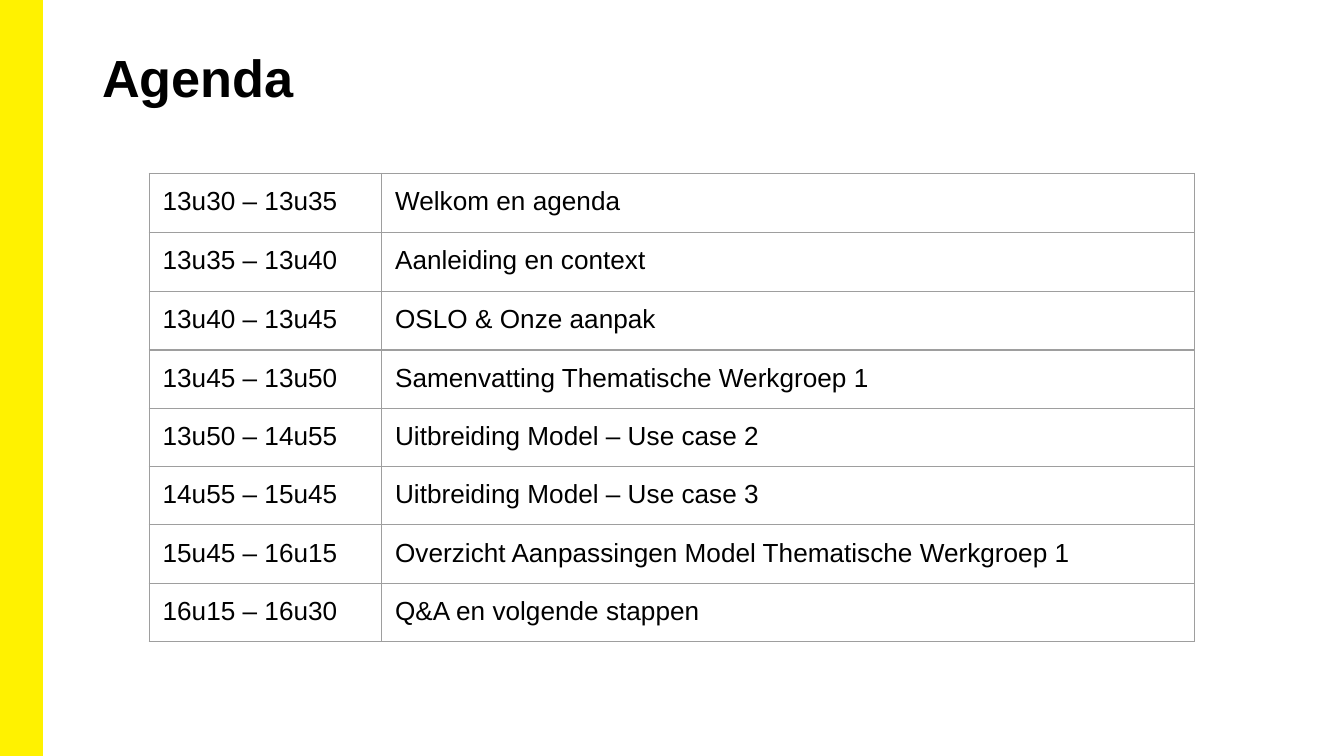
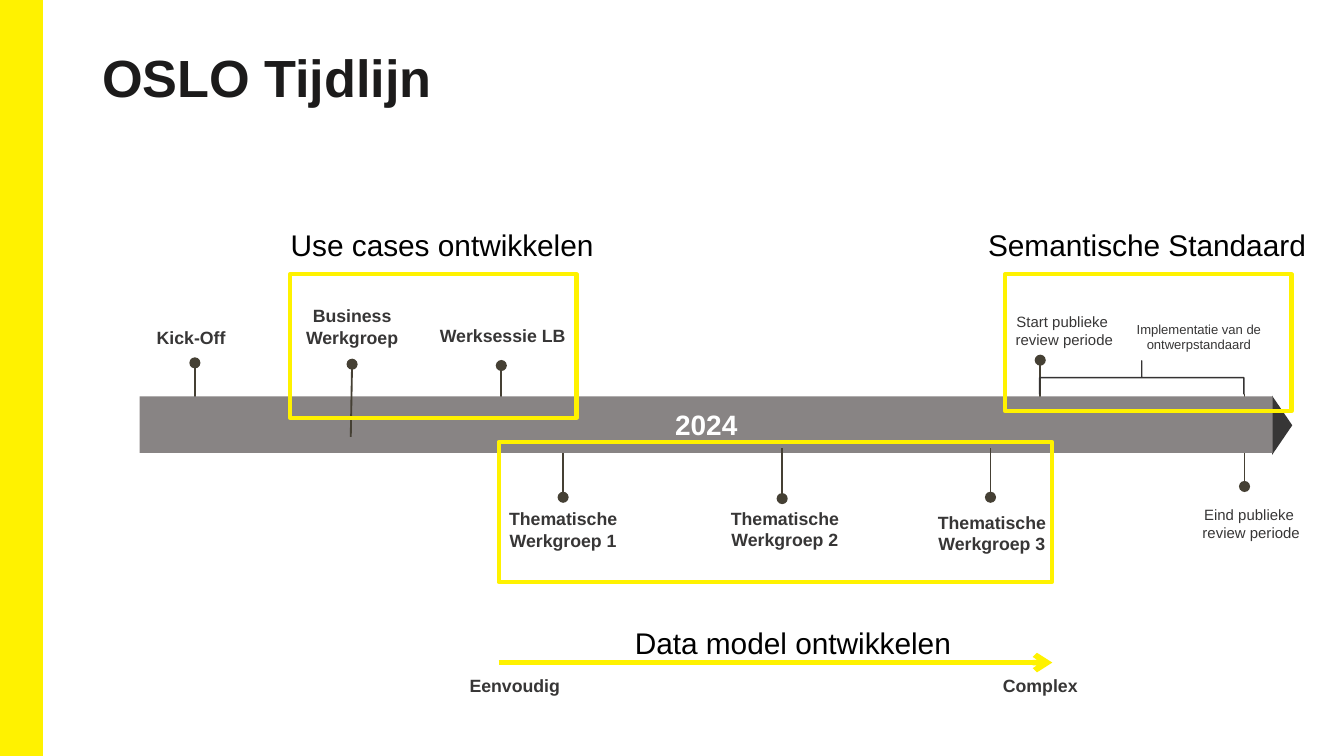
from lxml import etree
from pptx import Presentation
from pptx.dml.color import RGBColor
from pptx.enum.shapes import MSO_CONNECTOR, MSO_SHAPE
from pptx.enum.text import MSO_ANCHOR, MSO_AUTO_SIZE, PP_ALIGN
from pptx.oxml import parse_xml
from pptx.oxml.ns import nsdecls, qn
from pptx.util import Inches, Pt

FONT = "Arial"
SLIDE_WIDTH = 10
SLIDE_HEIGHT = SLIDE_WIDTH * 9 / 16
YELLOW = RGBColor(0xFF, 0xF2, 0x00)
BLACK = RGBColor(0x00, 0x00, 0x00)
WHITE = RGBColor(0xFF, 0xFF, 0xFF)
TITLE_DARK = RGBColor(0x1C, 0x1B, 0x1B)
LABEL_DARK = RGBColor(0x37, 0x36, 0x36)
BRACE_DARK = RGBColor(0x35, 0x33, 0x33)
PIN_BROWN = RGBColor(0x45, 0x40, 0x34)
BAR_GREY = RGBColor(0x88, 0x84, 0x84)
BORDER_GREY = RGBColor(0x9E, 0x9E, 0x9E)

AGENDA = [
    ("13u30 – 13u35", "Welkom en agenda"),
    ("13u35 – 13u40", "Aanleiding en context"),
    ("13u40 – 13u45", "OSLO & Onze aanpak"),
    ("13u45 – 13u50", "Samenvatting Thematische Werkgroep 1"),
    ("13u50 – 14u55", "Uitbreiding Model – Use case 2"),
    ("14u55 – 15u45", "Uitbreiding Model – Use case 3"),
    ("15u45 – 16u15", "Overzicht Aanpassingen Model Thematische Werkgroep 1"),
    ("16u15 – 16u30", "Q&A en volgende stappen"),
]
AGENDA_COLUMNS = [1.73, 6.05]
AGENDA_ROWS = [0.44, 0.44, 0.41, 0.25] + [0.39] * 4

# Pins: dot x, dot y, bar x, bar y, line width
PINS_BEHIND_BAR = [
    (7.74, 2.68, 7.74, 3.21, 1),
    (9.26, 3.62, 9.26, 2.93, 0.25),
    (3.73, 2.72, 3.73, 3.26, 1),
    (4.19, 3.7, 4.19, 3.29, 1),
    (1.45, 2.7, 1.45, 3.1, 1),
]
PINS_OVER_BAR = [
    (7.37, 3.7, 7.37, 3.33, 1),
    (2.62, 2.71, 2.61, 3.25, 1),
    (5.82, 3.71, 5.82, 3.33, 1),
]

# Labels: text, left, top, width, height
MILESTONES = [
    ("Kick-Off ", 0.9, 2.43, 1.08, 0.37),
    ("Business Werkgroep", 2.03, 2.27, 1.18, 0.6),
    ("Werksessie LB", 3.15, 2.42, 1.18, 0.6),
    ("Thematische Werkgroep 1", 3.65, 3.78, 1.08, 0.61),
    ("Thematische Werkgroep 2", 5.3, 3.78, 1.08, 0.34),
    ("Thematische Werkgroep 3", 6.84, 3.81, 1.08, 0.34),
    ("Eenvoudig", 3.29, 5.02, 1.08, 0.19),
    ("Complex", 7.2, 5.02, 1.08, 0.19),
]
REVIEW_LABELS = [
    ("Start publieke \vreview periode", 7.38, 2.33, 1.08, 0.34, 8),
    ("Eind publieke \vreview periode", 8.77, 3.76, 1.08, 0.37, 8),
    ("Implementatie van de ontwerpstandaard", 8.2, 2.39, 1.44, 0.37, 7),
]
PHASE_NAMES = [
    ("Use cases ontwikkelen", 1.68, 1.59, 3.22, 0.47),
    ("Semantische Standaard", 6.52, 1.59, 4.03, 0.47),
    ("Data model ontwikkelen", 4.29, 4.55, 3.22, 0.47),
]
PHASE_FRAMES = [
    (2.16, 2.04, 2.13, 1.07),
    (3.71, 3.29, 4.12, 1.04),
    (7.48, 2.04, 2.13, 1.02),
]


def write_text(frame, text, size=14, color=BLACK, bold=False,
               align=PP_ALIGN.LEFT, anchor=MSO_ANCHOR.TOP, insets=(0, 0)):
    """Fill a text frame; insets are (horizontal, vertical) in inches."""
    frame.word_wrap = True
    frame.vertical_anchor = anchor
    frame.margin_left = frame.margin_right = Inches(insets[0])
    frame.margin_top = frame.margin_bottom = Inches(insets[1])
    paragraph = frame.paragraphs[0]
    paragraph.text = text
    paragraph.alignment = align
    for run in paragraph.runs:
        run.font.name = FONT
        run.font.size = Pt(size)
        run.font.bold = bold
        run.font.color.rgb = color


def add_cell_borders(cell, color, width):
    properties = cell._tc.get_or_add_tcPr()
    for side in ("lnL", "lnR", "lnT", "lnB"):
        properties.append(parse_xml(
            f'<a:{side} {nsdecls("a")} w="{Pt(width)}"><a:solidFill>'
            f'<a:srgbClr val="{color}"/></a:solidFill></a:{side}>'))


class Deck:
    """Holds the presentation, its shared style and the current slide."""

    def __init__(self):
        self.presentation = Presentation()
        self.presentation.slide_width = Inches(SLIDE_WIDTH)
        self.presentation.slide_height = Inches(SLIDE_HEIGHT)
        self.slide = None

    def new_slide(self, title, width, color):
        blank = self.presentation.slide_layouts[6]
        self.slide = self.presentation.slides.add_slide(blank)
        self.shape(MSO_SHAPE.RECTANGLE, 0, 0, 0.31, SLIDE_HEIGHT,
                   fill=YELLOW, line=YELLOW)
        self.text(title, 0.69, 0.3, width, 0.81, size=28, color=color,
                  bold=True, insets=(0.07, 0.04))

    def shape(self, kind, left, top, width, height, fill=None, line=None,
              line_width=1, rotation=0):
        shape = self.slide.shapes.add_shape(
            kind, Inches(left), Inches(top), Inches(width), Inches(height))
        shape.shadow.inherit = False
        shape.rotation = rotation
        if fill is None:
            shape.fill.background()
        else:
            shape.fill.solid()
            shape.fill.fore_color.rgb = fill
        if line is None:
            shape.line.fill.background()
        else:
            shape.line.color.rgb = line
            shape.line.width = Pt(line_width)
        return shape

    def text(self, text, left, top, width, height, grow=False, **style):
        box = self.slide.shapes.add_textbox(
            Inches(left), Inches(top), Inches(width), Inches(height))
        write_text(box.text_frame, text, **style)
        if grow:
            box.text_frame.auto_size = MSO_AUTO_SIZE.SHAPE_TO_FIT_TEXT

    def line(self, x1, y1, x2, y2, color, width, **ends):
        """Draw a line; ends maps headEnd or tailEnd to an arrowhead type."""
        connector = self.slide.shapes.add_connector(
            MSO_CONNECTOR.STRAIGHT, Inches(x1), Inches(y1), Inches(x2), Inches(y2))
        connector.line.color.rgb = color
        connector.line.width = Pt(width)
        outline = connector.line._get_or_add_ln()
        for end, kind in ends.items():
            etree.SubElement(outline, qn(f"a:{end}"), type=kind)
        etree.SubElement(connector._element.spPr, qn("a:effectLst"))

    def pins(self, pins):
        for x1, y1, x2, y2, width in pins:
            self.line(x1, y1, x2, y2, PIN_BROWN, width, headEnd="oval")

    def table(self, rows, left, top, height, column_widths, row_heights):
        """Add a table whose rows may grow to fill the given height."""
        frame = self.slide.shapes.add_table(
            len(rows), len(column_widths), Inches(left), Inches(top),
            Inches(sum(column_widths)), Inches(height))
        table = frame.table
        table.first_row = table.horz_banding = False
        for column, width in zip(table.columns, column_widths):
            column.width = Inches(width)
        for row, row_height, texts in zip(table.rows, row_heights, rows):
            row.height = Inches(row_height)
            for cell, text in zip(row.cells, texts):
                cell.margin_left = cell.margin_right = Inches(0.1)
                cell.margin_top = cell.margin_bottom = Inches(0.1)
                add_cell_borders(cell, BORDER_GREY, 0.75)
                cell.fill.background()
                paragraph = cell.text_frame.paragraphs[0]
                paragraph.text = text
                font = paragraph.runs[0].font
                font.name, font.size = FONT, Pt(14)
                font.color.rgb = BLACK
        frame.height = Inches(height)


def build_agenda(deck):
    deck.new_slide("Agenda", 8.62, BLACK)
    deck.table(AGENDA, 1.11, 1.29, 3.47, AGENDA_COLUMNS, AGENDA_ROWS)


def build_timeline(deck):
    deck.new_slide("OSLO Tijdlijn", 4.46, TITLE_DARK)
    deck.pins(PINS_BEHIND_BAR)
    deck.shape(MSO_SHAPE.ISOSCELES_TRIANGLE, 9.32, 3.09, 0.44, 0.15,
               fill=LABEL_DARK, rotation=90)
    brace = deck.shape(MSO_SHAPE.LEFT_BRACE, 8.37, 2.05, 0.25, 1.52,
                       line=BRACE_DARK, line_width=0.75, rotation=90)
    brace.adjustments[0] = 0
    brace.adjustments[1] = 0.5
    bar = deck.shape(MSO_SHAPE.RECTANGLE, 1.04, 2.95, 8.43, 0.42, fill=BAR_GREY)
    write_text(bar.text_frame, "2024", size=15, color=WHITE, bold=True,
               align=PP_ALIGN.CENTER, anchor=MSO_ANCHOR.MIDDLE, insets=(0.1, 0.05))
    deck.pins(PINS_OVER_BAR)

    for text, *place in MILESTONES:
        deck.text(text, *place, size=9.5, color=LABEL_DARK, bold=True,
                  align=PP_ALIGN.CENTER)
    for text, *place, size in REVIEW_LABELS:
        deck.text(text, *place, size=size, color=LABEL_DARK, align=PP_ALIGN.CENTER)
    for text, *place in PHASE_NAMES:
        deck.text(text, *place, grow=True, size=16, align=PP_ALIGN.CENTER,
                  insets=(0.1, 0.1))
    for place in PHASE_FRAMES:
        deck.shape(MSO_SHAPE.RECTANGLE, *place, line=YELLOW, line_width=2.25)
    deck.line(3.71, 4.93, 7.83, 4.93, YELLOW, 3, tailEnd="arrow")


def main():
    deck = Deck()
    build_agenda(deck)
    build_timeline(deck)
    deck.presentation.save("out.pptx")


if __name__ == "__main__":
    main()
